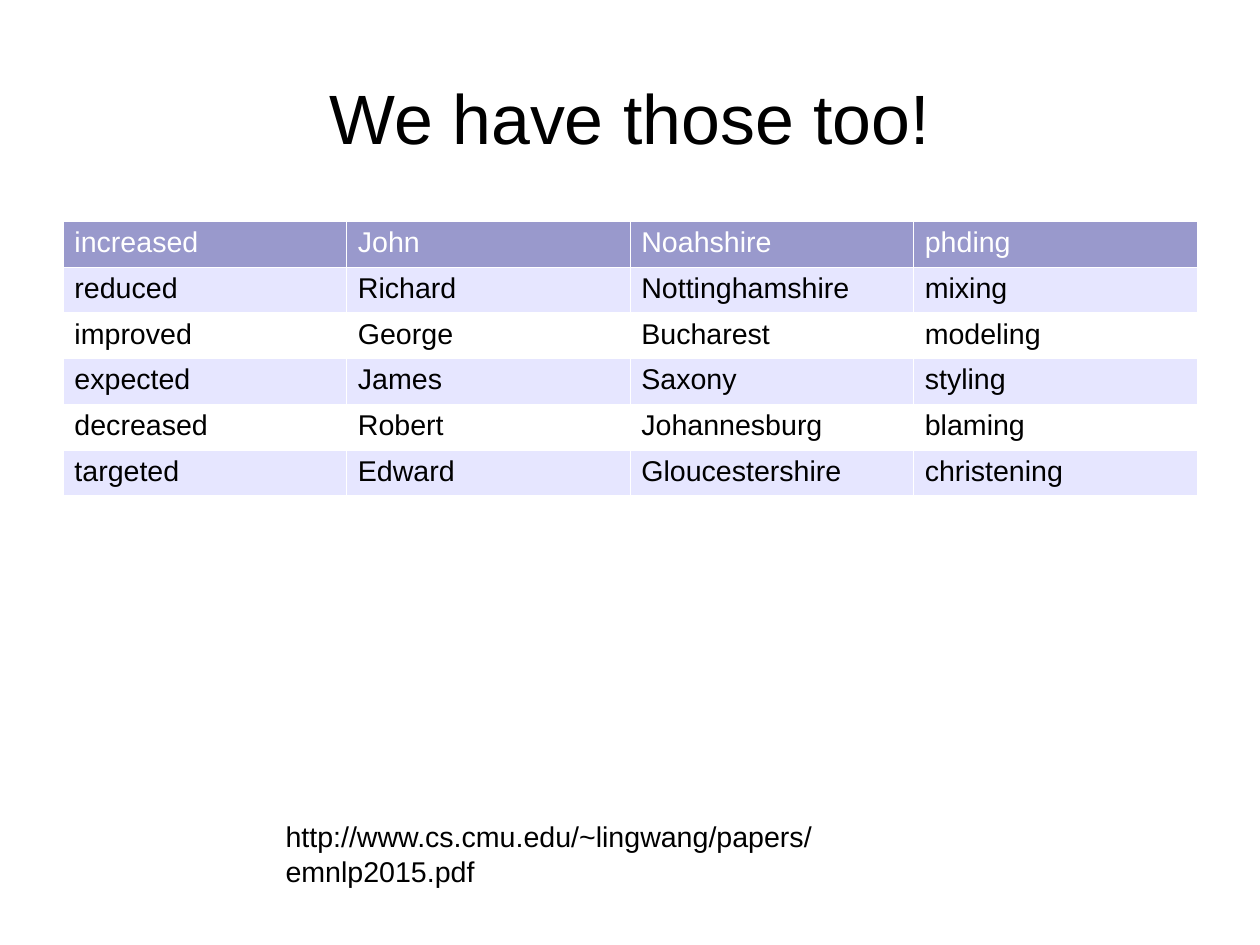
from lxml import etree
from pptx import Presentation
from pptx.dml.color import RGBColor
from pptx.enum.text import MSO_ANCHOR, PP_ALIGN
from pptx.oxml.ns import qn
from pptx.util import Pt

CENTER, LEFT = PP_ALIGN.CENTER, PP_ALIGN.LEFT
MIDDLE, TOP = MSO_ANCHOR.MIDDLE, MSO_ANCHOR.TOP

# Content
TITLE = "We have those too!"
WORDS = [
    ("increased", "John", "Noahshire", "phding"),
    ("reduced", "Richard", "Nottinghamshire", "mixing"),
    ("improved", "George", "Bucharest", "modeling"),
    ("expected", "James", "Saxony", "styling"),
    ("decreased", "Robert", "Johannesburg", "blaming"),
    ("targeted", "Edward", "Gloucestershire", "christening"),
]
PAPER_URL = "http://www.cs.cmu.edu/~lingwang/papers/emnlp2015.pdf"

THEME = {
    "font": "Arial", "title_size": 44, "body_size": 18,
    "ink": "000000", "header_ink": "FFFFFF", "header": "9999CC",
    "odd_row": "E6E6FF", "even_row": "FFFFFF", "border": "FFFFFF",
}

# Layout in points
SLIDE_WIDTH, SLIDE_HEIGHT = 793.7, 595.3
MARGIN = 39.7
CONTENT_WIDTH = SLIDE_WIDTH - 2 * MARGIN
TABLE_TOP, ROW_HEIGHT = 139.2, 28.85
BORDER_WIDTH = 0.06
INSET_X, INSET_Y = 7.2, 3.6


def set_font(para, size, color):
    para.font.name = THEME["font"]
    para.font.size = Pt(size)
    para.font.color.rgb = RGBColor.from_string(color)


def add_text(page, text, place, size, align, anchor, insets):
    box = page.shapes.add_textbox(*(Pt(length) for length in place))
    frame = box.text_frame
    frame.word_wrap = True
    frame.vertical_anchor = anchor
    frame.margin_left = frame.margin_right = Pt(insets[0])
    frame.margin_top = frame.margin_bottom = Pt(insets[1])
    para = frame.paragraphs[0]
    para.text = text
    para.alignment = align
    set_font(para, size, THEME["ink"])


def add_borders(cell):
    properties = cell._tc.get_or_add_tcPr()
    for side in ("a:lnL", "a:lnR", "a:lnT", "a:lnB"):
        line = etree.SubElement(properties, qn(side), w=str(Pt(BORDER_WIDTH)))
        fill = etree.SubElement(line, qn("a:solidFill"))
        etree.SubElement(fill, qn("a:srgbClr"), val=THEME["border"])


def add_word_table(page):
    column_count = len(WORDS[0])
    table = page.shapes.add_table(
        len(WORDS), column_count, Pt(MARGIN), Pt(TABLE_TOP),
        Pt(CONTENT_WIDTH), Pt(ROW_HEIGHT * len(WORDS))).table
    for column in table.columns:
        column.width = Pt(CONTENT_WIDTH / column_count)
    for row_index, row in enumerate(WORDS):
        table.rows[row_index].height = Pt(ROW_HEIGHT)
        if row_index == 0:
            fill, ink = THEME["header"], THEME["header_ink"]
        else:
            fill = THEME["odd_row" if row_index % 2 else "even_row"]
            ink = THEME["ink"]
        for column_index, word in enumerate(row):
            cell = table.cell(row_index, column_index)
            cell.margin_left = cell.margin_right = Pt(INSET_X)
            cell.margin_top = cell.margin_bottom = Pt(INSET_Y)
            add_borders(cell)
            cell.fill.solid()
            cell.fill.fore_color.rgb = RGBColor.from_string(fill)
            para = cell.text_frame.paragraphs[0]
            para.text = word
            para.font.bold = False
            set_font(para, THEME["body_size"], ink)


def main():
    deck = Presentation()
    deck.slide_width, deck.slide_height = Pt(SLIDE_WIDTH), Pt(SLIDE_HEIGHT)
    page = deck.slides.add_slide(deck.slide_layouts[6])

    # Title
    add_text(page, TITLE, (MARGIN, 23.75, CONTENT_WIDTH, 99.4),
             THEME["title_size"], CENTER, MIDDLE, (0, 0))
    # Word table
    add_word_table(page)
    # Link to the paper
    add_text(page, PAPER_URL, (172.8, 512.6, 463.7, 47.5),
             THEME["body_size"], LEFT, TOP, (INSET_X, INSET_Y))

    deck.save("out.pptx")


if __name__ == "__main__":
    main()
